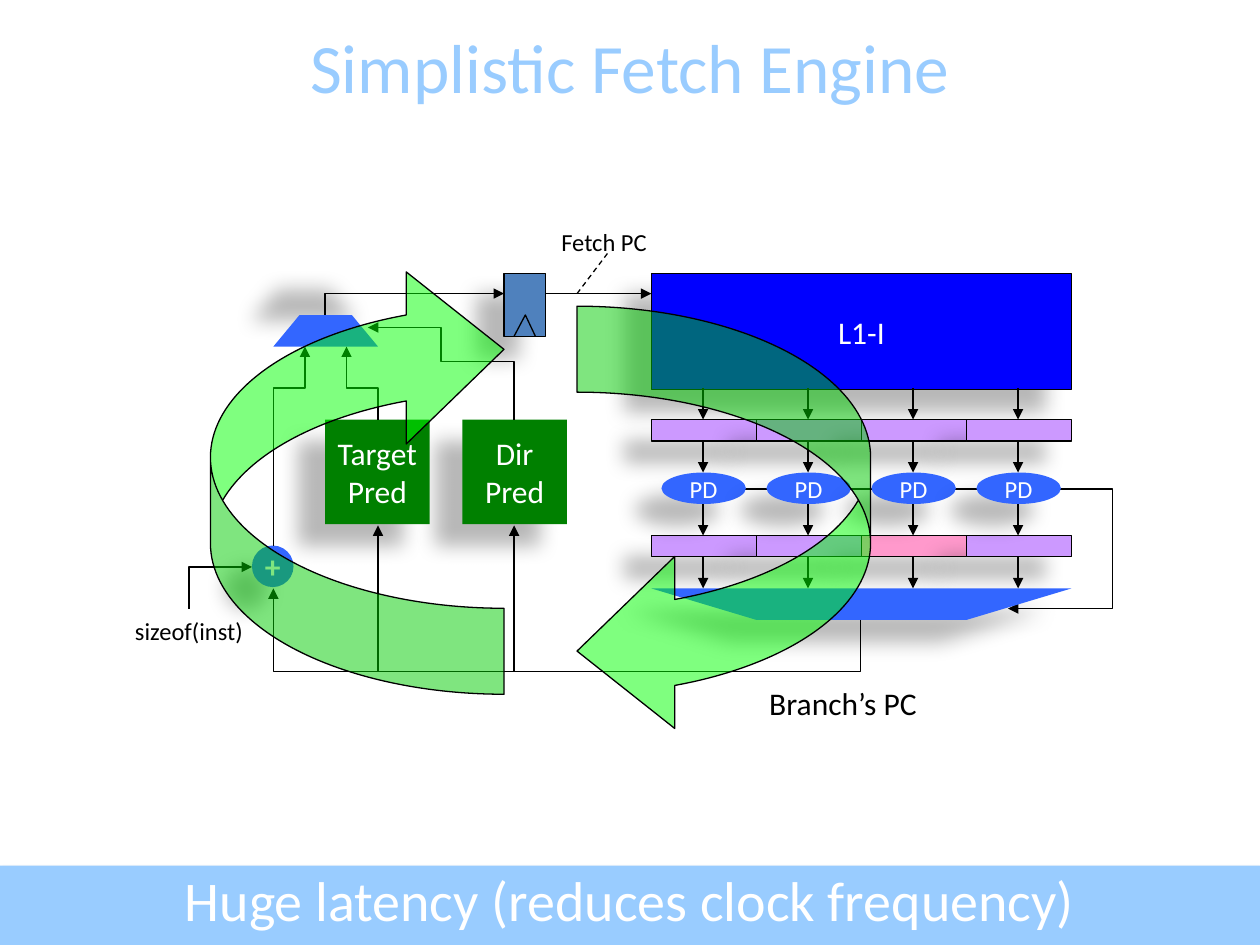
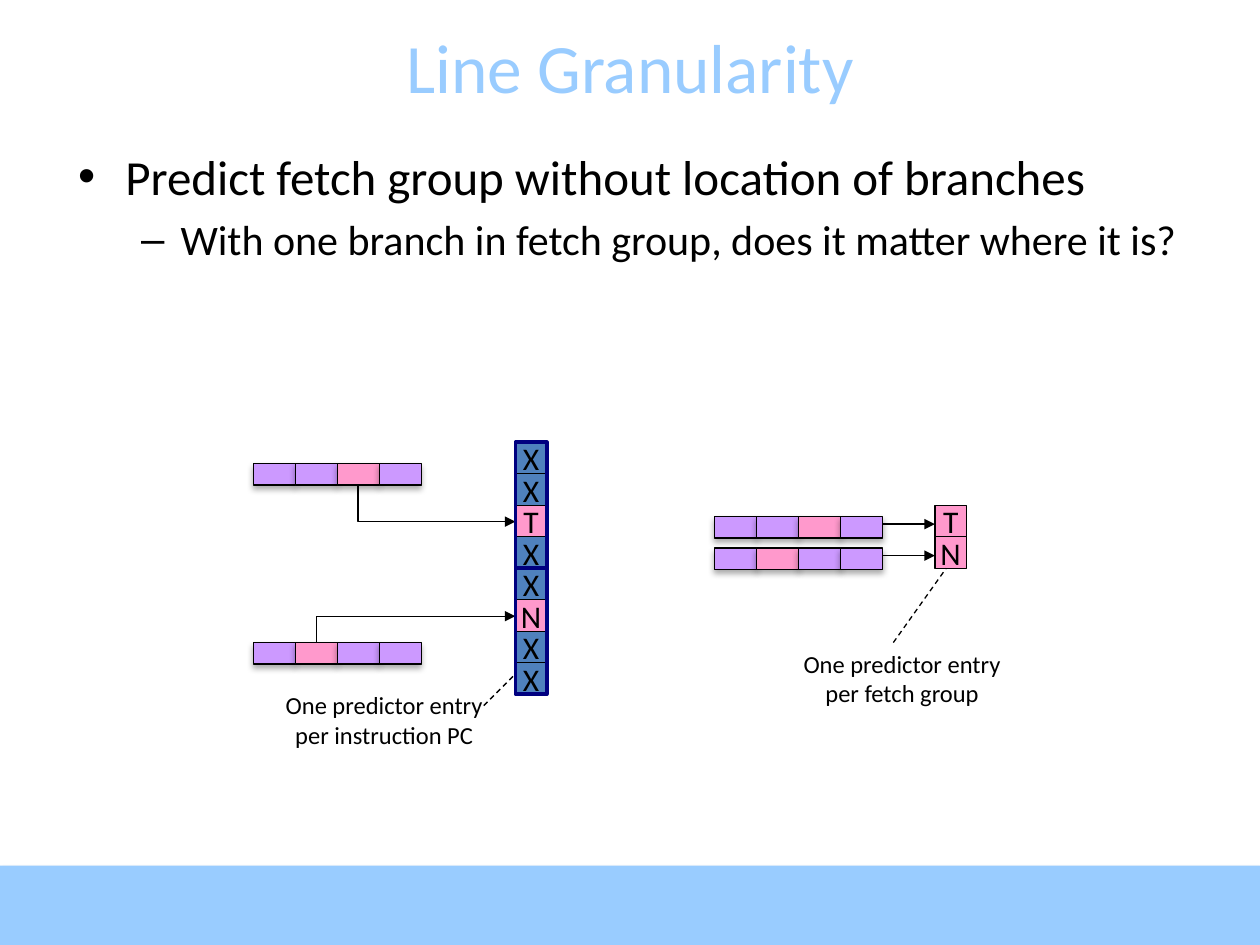
from lxml import etree
from pptx import Presentation
from pptx.dml.color import RGBColor
from pptx.enum import dml, shapes, text
from pptx.oxml.ns import qn
from pptx.util import Inches, Pt

SKY = RGBColor(0x99, 0xCC, 0xFF)
BLACK = RGBColor(0, 0, 0)
WHITE = RGBColor(0xFF, 0xFF, 0xFF)
NAVY = RGBColor(0, 0, 0x80)
CACHE_BLUE = RGBColor(0, 0, 0xFF)
BLUE = RGBColor(0x33, 0x66, 0xFF)
STEEL = RGBColor(0x4F, 0x81, 0xBD)
GREEN = RGBColor(0, 0x80, 0)
LIME = RGBColor(0, 0xFF, 0)
PURPLE = RGBColor(0xCC, 0x99, 0xFF)
PINK = RGBColor(0xFF, 0x99, 0xCC)
FONT = "Calibri"
DEEP = (28, 11.8, 19.7, 141)
DEEP_FLIPPED = (28, 11.8, 19.7, 229)
SOFT = (32, 3.5, 2.2, 90)
BAND = (35, 3.1, 1.8, 90)
RECT = shapes.MSO_SHAPE.RECTANGLE
OVAL = shapes.MSO_SHAPE.OVAL


def box(s, kind, x, y, w, h, fill=None, line=None, shadow=None,
        label="", size=18, color=WHITE, weight=0.75):
    at = [Inches(v) for v in (x, y, w, h)]
    if kind is None:
        sp = s.shapes.add_textbox(*at)
    elif isinstance(kind, list):
        pts = [(Inches(x + px * w), Inches(y + py * h)) for px, py in kind]
        fb = s.shapes.build_freeform(*pts[0])
        fb.add_line_segments(pts[1:], close=True)
        sp = fb.convert_to_shape()
    else:
        sp = s.shapes.add_shape(kind, *at)
    if fill is None:
        sp.fill.background()
    else:
        sp.fill.solid()
        sp.fill.fore_color.rgb = fill
    if line is None:
        sp.line.fill.background()
    else:
        sp.line.color.rgb = line
        sp.line.width = Pt(weight)
    sp.shadow.inherit = False
    if shadow:
        alpha, blur, dist, angle = shadow
        effects = sp._element.spPr.find(qn("a:effectLst"))
        outer = etree.SubElement(effects, qn("a:outerShdw"), blurRad=str(Pt(blur)),
                                 dist=str(Pt(dist)), dir=str(angle * 60000),
                                 algn="ctr", rotWithShape="0")
        clr = etree.SubElement(outer, qn("a:srgbClr"), val="000000")
        etree.SubElement(clr, qn("a:alpha"), val=str(alpha * 1000))
    if label:
        tf = sp.text_frame
        tf.word_wrap = False
        tf.text = label
        for p in tf.paragraphs:
            p.alignment = text.PP_ALIGN.CENTER
            p.font.name, p.font.size, p.font.color.rgb = FONT, Pt(size), color
    return sp


def wire(s, *points, arrow=True, dash=False):
    pts = [(Inches(x), Inches(y)) for x, y in points]
    if len(pts) == 2:
        sp = s.shapes.add_connector(shapes.MSO_CONNECTOR.STRAIGHT, *pts[0], *pts[1])
    else:
        fb = s.shapes.build_freeform(*pts[0])
        fb.add_line_segments(pts[1:], close=False)
        sp = fb.convert_to_shape()
        sp.fill.background()
    sp.line.color.rgb = BLACK
    sp.line.width = Pt(0.75)
    if dash:
        sp.line.dash_style = dml.MSO_LINE.DASH
    if arrow:
        etree.SubElement(sp.line._get_or_add_ln(), qn("a:tailEnd"), type="triangle")
    etree.SubElement(sp._element.spPr, qn("a:effectLst"))


prs = Presentation()
prs.slide_width, prs.slide_height = Inches(10), Inches(7.5)

slides = []
for title, layout in (("Simplistic Fetch Engine", 5), ("Line Granularity", 1)):
    s = prs.slides.add_slide(prs.slide_layouts[layout])
    box(s, RECT, 0, 6.87, 10, 0.63, SKY, shadow=BAND)
    sp = s.shapes.title
    sp.left, sp.top, sp.width, sp.height = Inches(0), Inches(0.21), Inches(10), Inches(0.63)
    tf = sp.text_frame
    tf.text = title
    tf.auto_size = text.MSO_AUTO_SIZE.NONE
    tf.vertical_anchor = text.MSO_ANCHOR.MIDDLE
    p = tf.paragraphs[0]
    p.alignment = text.PP_ALIGN.CENTER
    p.font.name, p.font.size, p.font.color.rgb = FONT, Pt(39.6), SKY
    slides.append(s)

s = slides[0]
COL = 2.5 / 3
LEFT = 5.17
wire(s, (5.58, 3.88), (8.83, 3.88), (8.83, 4.83), (8, 4.83))
box(s, RECT, LEFT, 2.17, 4 * COL, 0.92, CACHE_BLUE, BLACK, DEEP, "L1-I")
for y, special in ((3.33, None), (4.25, 2)):
    for i in range(4):
        box(s, RECT, LEFT + i * COL, y, COL, 0.17,
            PINK if i == special else PURPLE, BLACK, DEEP)
for i in range(4):
    box(s, OVAL, 5.25 + i * COL, 3.75, 0.67, 0.25, BLUE, None, DEEP, "PD", 14)
box(s, [(0, 0), (0.25, 1), (0.75, 1), (1, 0)], LEFT, 4.67, 4 * COL, 0.25, BLUE, None, DEEP)
for y in (3.08, 3.5, 4, 4.42):
    for i in range(4):
        x = 5.58 + i * COL
        wire(s, (x, y), (x, y + 0.25))

for x, label in ((3.67, "Dir\nPred"), (2.58, "Target\nPred")):
    box(s, RECT, x, 3.33, 0.83, 0.83, GREEN, None, DEEP, label)
wire(s, (6.83, 4.92), (6.83, 5.33), (4.08, 5.33), (4.08, 4.17))
box(s, None, 5.98, 5.38, 1.42, 0.4, label="Branch’s PC", color=BLACK)
wire(s, (4.08, 5.33), (3, 5.33), (3, 4.17))
sp = box(s, OVAL, 2, 4.33, 0.33, 0.33, BLUE, None, DEEP, "+")
sp.text_frame.paragraphs[0].font.bold = True
box(s, None, 0.97, 4.84, 1.06, 0.33, label="sizeof(inst)", size=14, color=BLACK)
wire(s, (1.5, 4.83), (1.5, 4.5), (2, 4.5))
wire(s, (3, 5.33), (2.17, 5.33), (2.17, 4.67))

box(s, [(0, 1), (0.25, 0), (0.75, 0), (1, 1)], 2.17, 2.5, 0.83, 0.25,
    BLUE, None, DEEP_FLIPPED)
wire(s, (2.17, 4.33), (2.17, 3.08), (2.42, 3.08), (2.42, 2.75))
wire(s, (3, 3.33), (3, 3.08), (2.75, 3.08), (2.75, 2.75))
box(s, RECT, 4, 2.17, 0.33, 0.5, STEEL, BLACK, DEEP)
wire(s, (4.08, 2.67), (4.17, 2.5), (4.25, 2.67), arrow=False)
wire(s, (2.58, 2.5), (2.58, 2.33), (4, 2.33))
wire(s, (4.33, 2.33), (LEFT, 2.33))
wire(s, (4.08, 3.33), (4.08, 2.87), (3.5, 2.87), (3.5, 2.6), (2.92, 2.6))

for x, y, turn in ((4.58, 2.43, 0), (1.67, 2.09, 180)):
    sp = box(s, shapes.MSO_SHAPE.CURVED_LEFT_ARROW, x, y, 2.33, 3.42, LIME, BLACK)
    sp.rotation = turn
    for i, value in enumerate((0.293, 0.586, 0.333)):
        sp.adjustments[i] = value
    clr = sp._element.spPr.find(qn("a:solidFill")).find(qn("a:srgbClr"))
    etree.SubElement(clr, qn("a:alpha"), val="50000")

box(s, None, 4.33, 1.75, 0.93, 0.34, label="Fetch PC", size=14, color=BLACK)
wire(s, (4.58, 2.33), (4.83, 2), arrow=False, dash=True)
box(s, None, 0, 6.82, 10, 0.63, label="Huge latency (reduces clock frequency)",
    size=32).text_frame.word_wrap = True

s = slides[1]
sp = s.placeholders[1]
sp.left, sp.top, sp.width, sp.height = Inches(0.52), Inches(1.11), Inches(9), Inches(5.56)
tf = sp.text_frame
tf.text = ("Predict fetch group without location of branches\n"
           "With one branch in fetch group, does it matter where it is?")
tf.auto_size = text.MSO_AUTO_SIZE.NONE
for level, (p, size) in enumerate(zip(tf.paragraphs, (28, 24))):
    p.level = level
    p.font.name, p.font.size, p.font.color.rgb = FONT, Pt(size), BLACK

for x, y, branch in ((2.01, 3.68, 2), (2.01, 5.1, 1), (5.67, 4.1, 2), (5.67, 4.35, 1)):
    for i in range(4):
        box(s, RECT, x + i / 3, y, 1 / 3, 0.17,
            PINK if i == branch else PURPLE, BLACK, SOFT)
for x, y, entries in ((4.09, 3.51, "XXTXXNXX"), (7.42, 4.01, "TN")):
    for i, entry in enumerate(entries):
        box(s, RECT, x, y + i * 0.25, 0.25, 0.25, STEEL if entry == "X" else PINK,
            BLACK, label=entry, color=BLACK)
wire(s, (2.51, 5.1), (2.51, 4.89), (4.09, 4.89))
wire(s, (2.84, 3.85), (2.84, 4.14), (4.09, 4.14))
for y in (3.51, 4.51):
    box(s, RECT, 4.09, y, 0.25, 1, line=NAVY, weight=2)
for y in (4.16, 4.41):
    wire(s, (7.01, y), (7.42, y))
for x, y, unit in ((2.13, 5.43, "instruction PC"), (6.24, 5.1, "fetch group")):
    box(s, None, x, y, 1.84, 0.57, label="One predictor entry\nper " + unit,
        size=14, color=BLACK)
wire(s, (3.84, 5.6), (4.09, 5.35), arrow=False, dash=True)
wire(s, (7.09, 5.1), (7.51, 4.51), arrow=False, dash=True)

prs.save("out.pptx")
